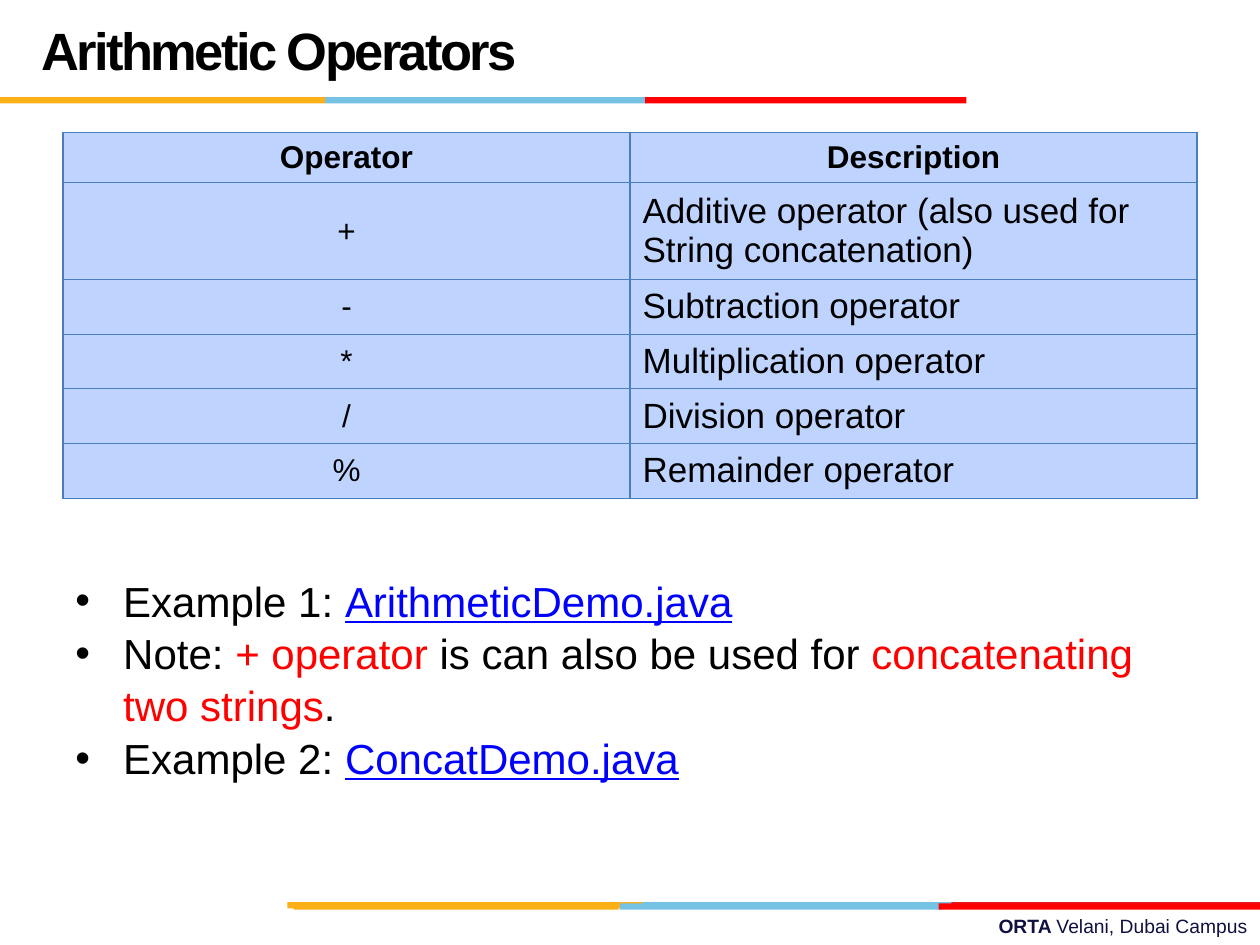
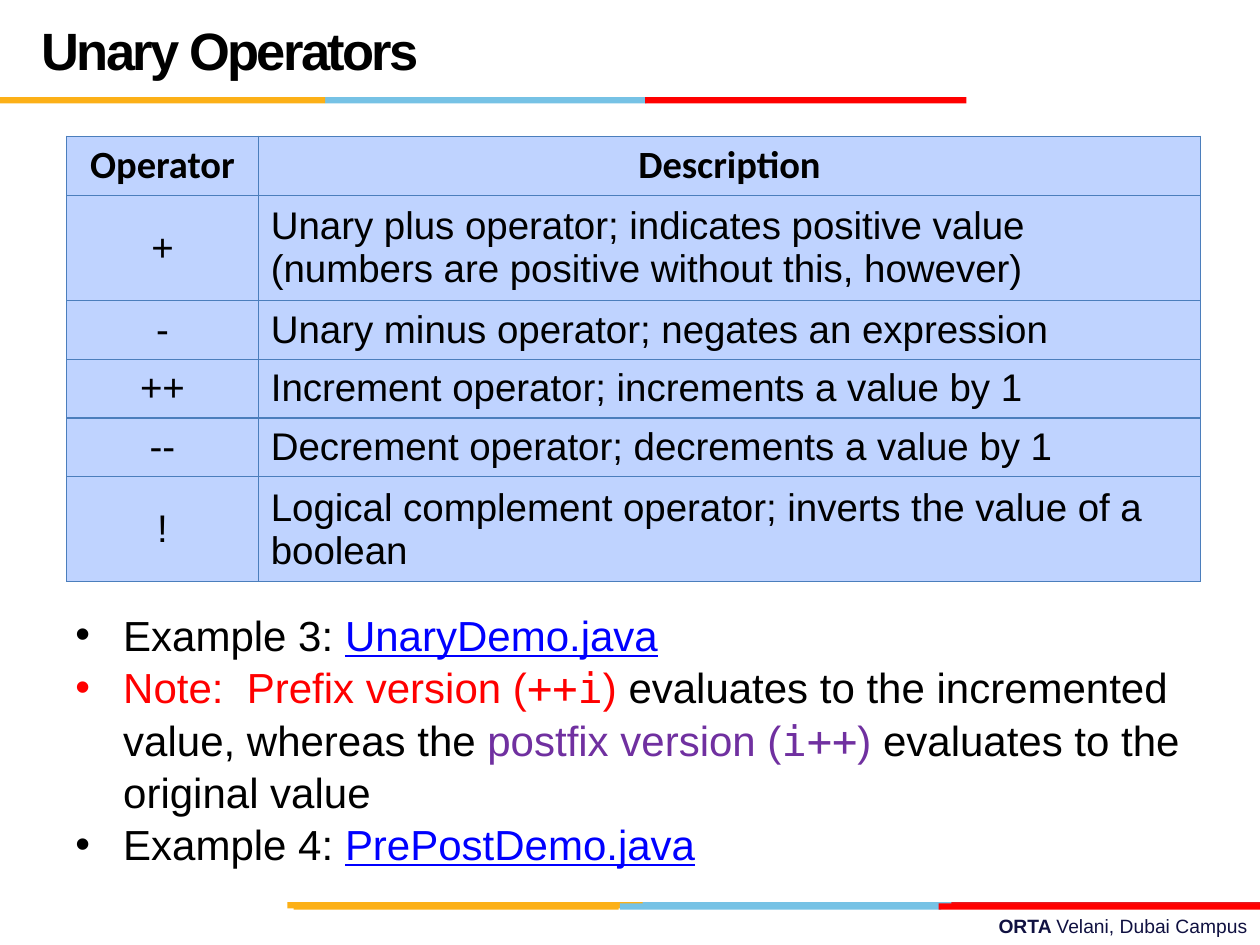
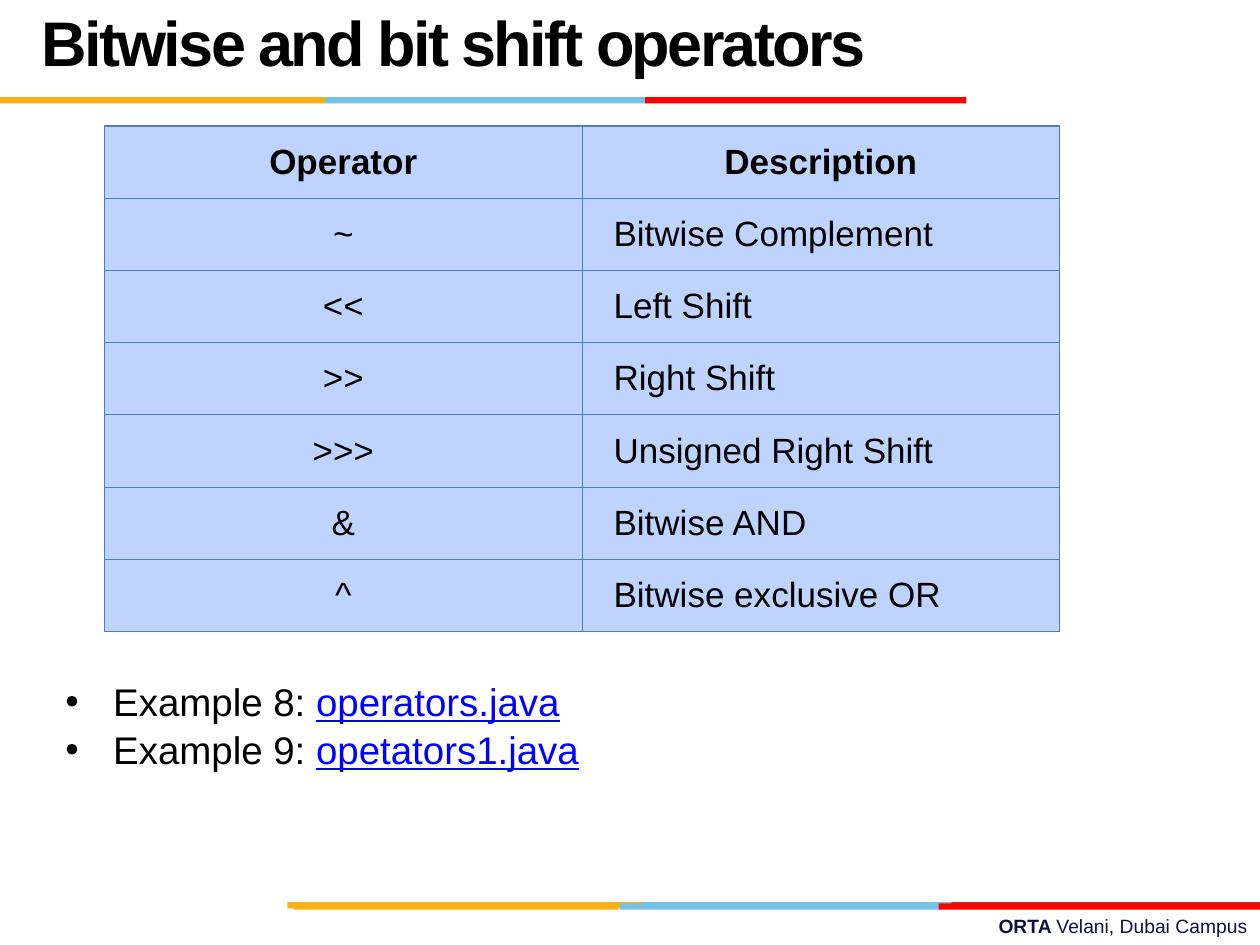
from dataclasses import dataclass
from typing import NamedTuple, Optional

from lxml import etree
from pptx import Presentation
from pptx import util as u
from pptx.dml.color import RGBColor
from pptx.enum import shapes, text
from pptx.oxml import ns

COLORS = {
    "black": "000000",
    "navy": "101141",
    "amber": "FCB017",
    "sky": "76C2E5",
    "crimson": "E31C24",
    "red": "FF0000",
    "purple": "7030A0",
    "link": "0000FF",
    "cell": "BFD3FF",
    "border": "4B7EBC",
}
SANS = "Arial"
MONO = "DejaVu Sans Mono"
BAND_HEIGHT = 0.05
BULLET_INDENT = 0.38
CENTER = text.PP_ALIGN.CENTER
LEFT = text.PP_ALIGN.LEFT


class Box(NamedTuple):
    left: float
    top: float
    width: float
    height: float

    def lengths(self) -> list:
        return [u.Inches(value) for value in self]


class Band(NamedTuple):
    left: float
    top: float
    width: float
    color: str


class Span(NamedTuple):
    words: str
    color: str = "black"
    font: str = SANS
    underline: bool = False


@dataclass
class OperatorTable:
    left: float
    top: float
    columns: list[float]
    heights: list[float]
    rows: list[tuple[str, str]]
    symbol_size: int
    description_size: int
    header_font: str = SANS
    margins: tuple[float, float] = (0.1, 0.05)


@dataclass
class Notes:
    box: Box
    size: int
    bullets: list[list[Span]]


@dataclass
class OperatorSlide:
    title: str
    title_box: Box
    title_size: int
    table: OperatorTable
    notes: Notes


BANDS = [
    Band(5.06, 7.16, 2.55, "sky"),
    Band(7.55, 7.16, 2.45, "crimson"),
    Band(2.28, 7.16, 2.82, "amber"),
    Band(4.92, 7.17, 2.55, "sky"),
    Band(2.33, 7.17, 2.58, "amber"),
    Band(7.45, 7.17, 2.55, "red"),
    Band(2.58, 0.77, 2.55, "sky"),
    Band(0, 0.77, 2.58, "amber"),
    Band(5.12, 0.77, 2.55, "red"),
]


def example(number: int, file_name: str) -> list[Span]:
    return [Span(f"Example {number}: "), Span(file_name, "link", underline=True)]


SLIDES = [
    OperatorSlide(
        "Arithmetic Operators",
        Box(0.23, 0.19, 6.92, 0.4),
        30,
        OperatorTable(
            0.5, 1.05, [4.5, 4.5], [0.38, 0.72] + [0.41] * 4,
            [
                ("+", "Additive operator (also used for String concatenation)"),
                ("-", "Subtraction operator"),
                ("*", "Multiplication operator"),
                ("/", "Division operator"),
                ("%", "Remainder operator"),
            ],
            symbol_size=18, description_size=20,
        ),
        Notes(Box(0.5, 4.5, 9, 2.12), 24, [
            example(1, "ArithmeticDemo.java"),
            [
                Span("Note: "),
                Span("+ operator ", "red"),
                Span("is can also be used for "),
                Span("concatenating two strings", "red"),
                Span("."),
            ],
            example(2, "ConcatDemo.java"),
        ]),
    ),
    OperatorSlide(
        "Unary Operators",
        Box(0.23, 0.19, 6.92, 0.4),
        30,
        OperatorTable(
            0.53, 1.08, [1.52, 7.48], [0.47, 0.78] + [0.44] * 3 + [0.78],
            [
                ("+", "Unary plus operator; indicates positive value "
                      "(numbers are positive without this, however)"),
                ("-", "Unary minus operator; negates an expression"),
                ("++", "Increment operator; increments a value by 1"),
                ("--", "Decrement operator; decrements a value by 1"),
                ("!", "Logical complement operator; inverts the value of a boolean"),
            ],
            symbol_size=22, description_size=22, header_font="Calibri",
        ),
        Notes(Box(0.5, 4.77, 9, 2.52), 24, [
            example(3, "UnaryDemo.java"),
            [
                Span("Note:  Prefix version (", "red"),
                Span("++i", "red", MONO),
                Span(") ", "red"),
                Span("evaluates to the incremented value, whereas the "),
                Span("postfix version (", "purple"),
                Span("i++", "purple", MONO),
                Span(")", "purple"),
                Span(" evaluates to the original value"),
            ],
            example(4, "PrePostDemo.java"),
        ]),
    ),
    OperatorSlide(
        "Bitwise and bit shift operators",
        Box(0.23, 0.04, 6.92, 0.68),
        36,
        OperatorTable(
            0.83, 1, [3.79, 3.79], [0.56] * 7,
            [
                ("~", "Bitwise Complement"),
                ("<<", "Left Shift"),
                (">>", "Right Shift"),
                (">>>", "Unsigned Right Shift"),
                ("&", "Bitwise AND"),
                ("^", "Bitwise exclusive OR"),
            ],
            symbol_size=20, description_size=20, margins=(0.25, 0.12),
        ),
        Notes(Box(0.42, 5.32, 8.58, 0.84), 22, [
            example(8, "operators.java"),
            example(9, "opetators1.java"),
        ]),
    ),
]


def rgb(name: str) -> RGBColor:
    return RGBColor.from_string(COLORS[name])


def add_text(paragraph, words: str, *, size: float, color: str = "black",
             font: str = SANS, bold: bool = False, underline: bool = False,
             spacing: Optional[float] = None) -> None:
    run = paragraph.add_run()
    run.text = words
    run.font.size = u.Pt(size)
    run.font.name = font
    run.font.bold = bold
    run.font.underline = underline
    run.font.color.rgb = rgb(color)
    if spacing is not None:
        run._r.get_or_add_rPr().set("spc", str(int(spacing * 100)))


def add_band(slide, band: Band) -> None:
    box = Box(band.left, band.top, band.width, BAND_HEIGHT)
    shape = slide.shapes.add_shape(shapes.MSO_SHAPE.RECTANGLE, *box.lengths())
    shape.shadow.inherit = False
    shape.fill.solid()
    shape.fill.fore_color.rgb = rgb(band.color)
    shape.line.fill.background()


def add_frame(slide, box: Box):
    frame = slide.shapes.add_textbox(*box.lengths()).text_frame
    frame.word_wrap = True
    return frame


def add_footer(slide) -> None:
    paragraph = add_frame(slide, Box(3.58, 7.21, 6.42, 0.29)).paragraphs[0]
    paragraph.alignment = text.PP_ALIGN.RIGHT
    add_text(paragraph, "ORTA ", size=11, color="navy", bold=True)
    add_text(paragraph, "Velani, Dubai Campus", size=11, color="navy")


def set_title(slide, words: str, box: Box, size: float) -> None:
    title = slide.shapes.title
    title.left, title.top, title.width, title.height = box.lengths()
    frame = title.text_frame
    frame.auto_size = text.MSO_AUTO_SIZE.NONE
    frame.word_wrap = True
    frame.vertical_anchor = text.MSO_ANCHOR.MIDDLE
    paragraph = frame.paragraphs[0]
    paragraph.alignment = LEFT
    paragraph.line_spacing = u.Pt(36)
    add_text(paragraph, words, size=size, bold=True, spacing=-1.5)


def add_borders(cell) -> None:
    properties = cell._tc.get_or_add_tcPr()
    for side in ("lnL", "lnR", "lnT", "lnB"):
        line = etree.SubElement(properties, ns.qn(f"a:{side}"), w=str(u.Pt(0.75)))
        fill = etree.SubElement(line, ns.qn("a:solidFill"))
        etree.SubElement(fill, ns.qn("a:srgbClr"), val=COLORS["border"])


def fill_cell(cell, words: str, margins: tuple[float, float], alignment,
              **text_format) -> None:
    add_borders(cell)
    cell.fill.solid()
    cell.fill.fore_color.rgb = rgb("cell")
    cell.vertical_anchor = text.MSO_ANCHOR.MIDDLE
    cell.margin_left = cell.margin_right = u.Inches(margins[0])
    cell.margin_top = cell.margin_bottom = u.Inches(margins[1])
    paragraph = cell.text_frame.paragraphs[0]
    paragraph.alignment = alignment
    add_text(paragraph, words, **text_format)


def add_operator_table(slide, content: OperatorTable) -> None:
    box = Box(content.left, content.top, sum(content.columns), sum(content.heights))
    table = slide.shapes.add_table(
        len(content.heights), len(content.columns), *box.lengths()).table
    table.first_row = False
    table.horz_banding = False
    for column, width in zip(table.columns, content.columns):
        column.width = u.Inches(width)
    for row, height in zip(table.rows, content.heights):
        row.height = u.Inches(height)
    for column, heading in enumerate(("Operator", "Description")):
        fill_cell(table.cell(0, column), heading, content.margins, CENTER,
                  size=content.symbol_size, font=content.header_font, bold=True)
    for row, (symbol, description) in enumerate(content.rows, start=1):
        fill_cell(table.cell(row, 0), symbol, content.margins, CENTER,
                  size=content.symbol_size)
        fill_cell(table.cell(row, 1), description, content.margins, LEFT,
                  size=content.description_size)


def add_bullet(paragraph) -> None:
    properties = paragraph._p.get_or_add_pPr()
    properties.set("marL", str(u.Inches(BULLET_INDENT)))
    properties.set("indent", str(-u.Inches(BULLET_INDENT)))
    etree.SubElement(properties, ns.qn("a:buFont"), typeface=SANS)
    etree.SubElement(properties, ns.qn("a:buChar"), char="•")


def add_notes(slide, notes: Notes) -> None:
    frame = add_frame(slide, notes.box)
    for index, spans in enumerate(notes.bullets):
        paragraph = frame.add_paragraph() if index else frame.paragraphs[0]
        paragraph.line_spacing = 1.04
        add_bullet(paragraph)
        for span in spans:
            add_text(paragraph, span.words, size=notes.size, color=span.color,
                     font=span.font, underline=span.underline)


def add_operator_slide(presentation, content: OperatorSlide) -> None:
    slide = presentation.slides.add_slide(presentation.slide_layouts[5])
    add_footer(slide)
    for band in BANDS:
        add_band(slide, band)
    set_title(slide, content.title, content.title_box, content.title_size)
    add_operator_table(slide, content.table)
    add_notes(slide, content.notes)


def main() -> None:
    presentation = Presentation()
    presentation.slide_width = u.Inches(10)
    presentation.slide_height = u.Inches(7.5)
    for content in SLIDES:
        add_operator_slide(presentation, content)
    presentation.save("out.pptx")


main()
